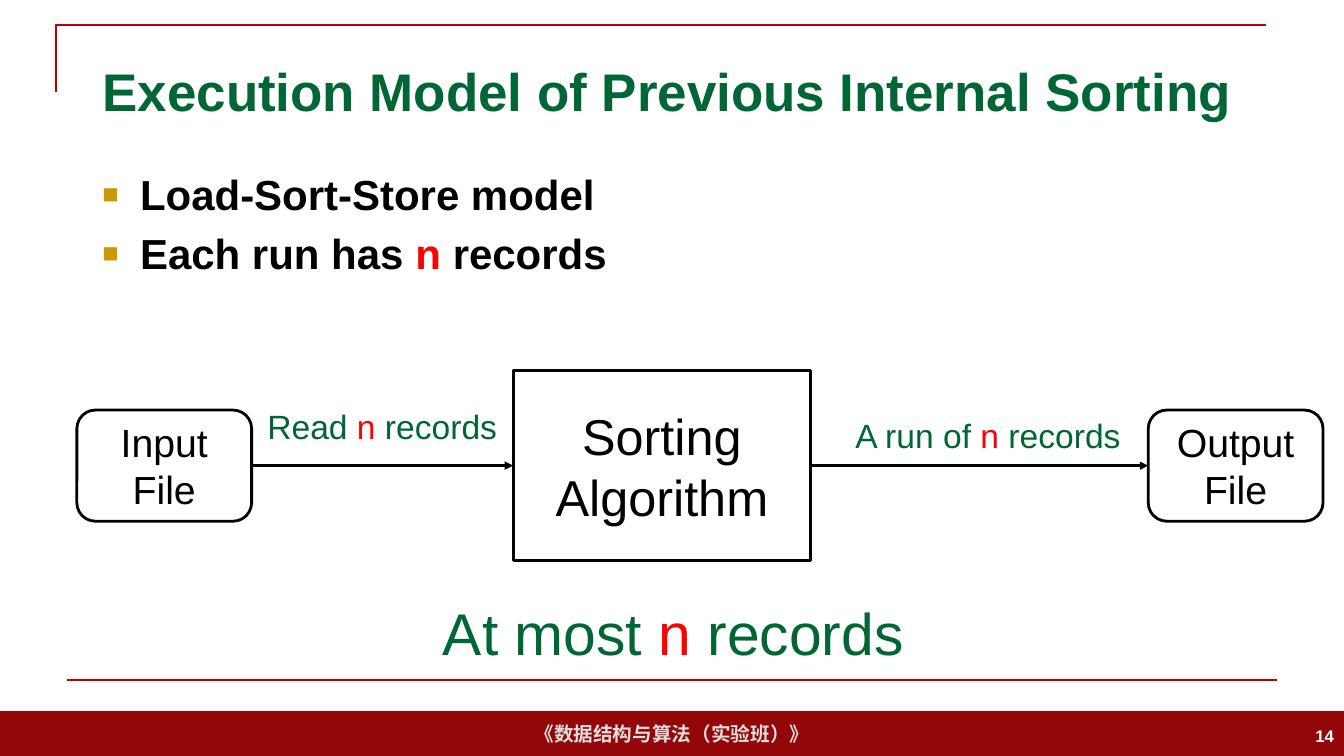
from lxml import etree
from pptx import Presentation
from pptx.dml.color import RGBColor
from pptx.enum import shapes, text
from pptx.oxml import ns
from pptx.util import Pt

BLACK, GREEN, RED, WHITE = "000000", "006633", "FF0000", "FFFFFF"
BAR, RULE, GOLD, GREY = "940709", "C00000", "CC9900", "DDDDDD"
WIDTH, HEIGHT = 960, 540
FONT = "Arial"
LEFT, CENTER, RIGHT = text.PP_ALIGN.LEFT, text.PP_ALIGN.CENTER, text.PP_ALIGN.RIGHT
TOP, MIDDLE = text.MSO_ANCHOR.TOP, text.MSO_ANCHOR.MIDDLE
RECT, ROUNDED = shapes.MSO_SHAPE.RECTANGLE, shapes.MSO_SHAPE.ROUNDED_RECTANGLE

# Text between bars is red.
TITLE = "Execution Model of Previous Internal Sorting"
BULLETS = ["Load-Sort-Store model", "Each run has |n| records"]
FOOTER = "《数据结构与算法（实验班）》"
PAGE = "14"
FLOW_Y = 332.6  # centre line of the flow
STAGES = [  # lines, shape, left, width, height, text size
    (["Input", "File"], ROUNDED, 54.9, 124.8, 79.4, 28),
    (["Sorting", "Algorithm"], RECT, 366.6, 212.4, 136, 36),
    (["Output", "File"], ROUNDED, 820.2, 124.8, 79.4, 28),
]
LABELS = [  # text, box, text size
    ("Read |n| records", (157, 286.6, 232, 36), 24),
    ("A run of |n| records", (589.7, 292.6, 232, 36), 24),
    ("At most |n| records", (293.8, 422.6, 374.4, 58), 42),
]


def rgb(color):
    return RGBColor.from_string(color)


def write(sp, lines, size, color, bold=False, align=LEFT, anchor=MIDDLE, wrap=True):
    """Fill a shape with paragraphs, with the parts between bars in red."""
    tf = sp.text_frame
    tf.word_wrap, tf.vertical_anchor = wrap, anchor
    for i, line in enumerate(lines):
        p = tf.add_paragraph() if i else tf.paragraphs[0]
        p.alignment = align
        for j, part in enumerate(line.split("|")):
            r = p.add_run()
            r.text = part
            for name, value in dict(name=FONT, size=Pt(size), bold=bold).items():
                setattr(r.font, name, value)
            r.font.color.rgb = rgb(RED if j % 2 else color)


def text_box(slide, box, lines, *style, **options):
    sp = slide.shapes.add_textbox(*map(Pt, box))
    write(sp, lines, *style, **options)
    return sp


def shape(slide, kind, box, fill=None, line=None):
    sp = slide.shapes.add_shape(kind, *map(Pt, box))
    sp.shadow.inherit = False
    if fill:
        sp.fill.solid()
        sp.fill.fore_color.rgb = rgb(fill)
    else:
        sp.fill.background()
    if line:
        sp.line.color.rgb = rgb(line)
        sp.line.width = Pt(2)
    else:
        sp.line.fill.background()
    return sp


def rule(slide, x1, x2, y, color, width, arrow=False):
    """Draw a horizontal line, with an arrowhead at x2 if asked."""
    sp = slide.shapes.add_connector(
        shapes.MSO_CONNECTOR.STRAIGHT, *map(Pt, (x1, y, x2, y)))
    sp.line.color.rgb = rgb(color)
    sp.line.width = Pt(width)
    if arrow:
        etree.SubElement(sp.line._get_or_add_ln(), ns.qn("a:tailEnd"), type="triangle")
    etree.SubElement(sp._element.spPr, ns.qn("a:effectLst"))


def add_bullet(p):
    pPr = p._p.get_or_add_pPr()
    pPr.set("marL", str(Pt(27)))
    pPr.set("indent", str(-Pt(27)))
    color = etree.SubElement(pPr, ns.qn("a:buClr"))
    etree.SubElement(color, ns.qn("a:srgbClr"), val=GOLD)
    etree.SubElement(pPr, ns.qn("a:buSzPct"), val="65000")
    etree.SubElement(pPr, ns.qn("a:buFont"), typeface=FONT)
    etree.SubElement(pPr, ns.qn("a:buChar"), char="■")


def draw_frame(slide):
    bar = shape(slide, RECT, (0, 508, WIDTH, 32), fill=BAR)
    write(bar, [FOOTER], 14, GREY, bold=True, align=CENTER, wrap=False)
    path = slide.shapes.build_freeform(Pt(40), Pt(66))
    path.add_line_segments([(Pt(40), Pt(18)), (Pt(904), Pt(18))], close=False)
    corner = path.convert_to_shape()
    corner.shadow.inherit = False
    corner.fill.background()
    corner.line.color.rgb = rgb(RULE)
    corner.line.width = Pt(1.5)
    rule(slide, 48, 912, 486, RULE, 1.5)
    text_box(slide, (744, 511, 216, 29), [PAGE], 12, WHITE, bold=True, align=RIGHT)


def draw_flow(slide):
    for lines, kind, left, width, height, size in STAGES:
        sp = shape(slide, kind, (left, FLOW_Y - height / 2, width, height), line=BLACK)
        write(sp, lines, size, BLACK, align=CENTER)
    for (_, _, left, width, _, _), after in zip(STAGES, STAGES[1:]):
        rule(slide, left + width, after[2], FLOW_Y, BLACK, 2, arrow=True)
    for label, box, size in LABELS:
        text_box(slide, box, [label], size, GREEN, align=CENTER, anchor=TOP)


def main():
    prs = Presentation()
    prs.slide_width, prs.slide_height = Pt(WIDTH), Pt(HEIGHT)
    slide = prs.slides.add_slide(prs.slide_layouts[5])
    draw_frame(slide)

    title = slide.shapes.title
    box = dict(left=66, top=29, width=828, height=71)
    for name, value in box.items():
        setattr(title, name, Pt(value))
    write(title, [TITLE], 37.8, GREEN, bold=True)
    title.text_frame.auto_size = text.MSO_AUTO_SIZE.NONE

    body = text_box(slide, (66, 117, 828, 371), BULLETS, 30, BLACK, bold=True, anchor=TOP)
    for p in body.text_frame.paragraphs:
        p.space_before = Pt(6)
        add_bullet(p)

    draw_flow(slide)
    prs.save("out.pptx")


if __name__ == "__main__":
    main()
